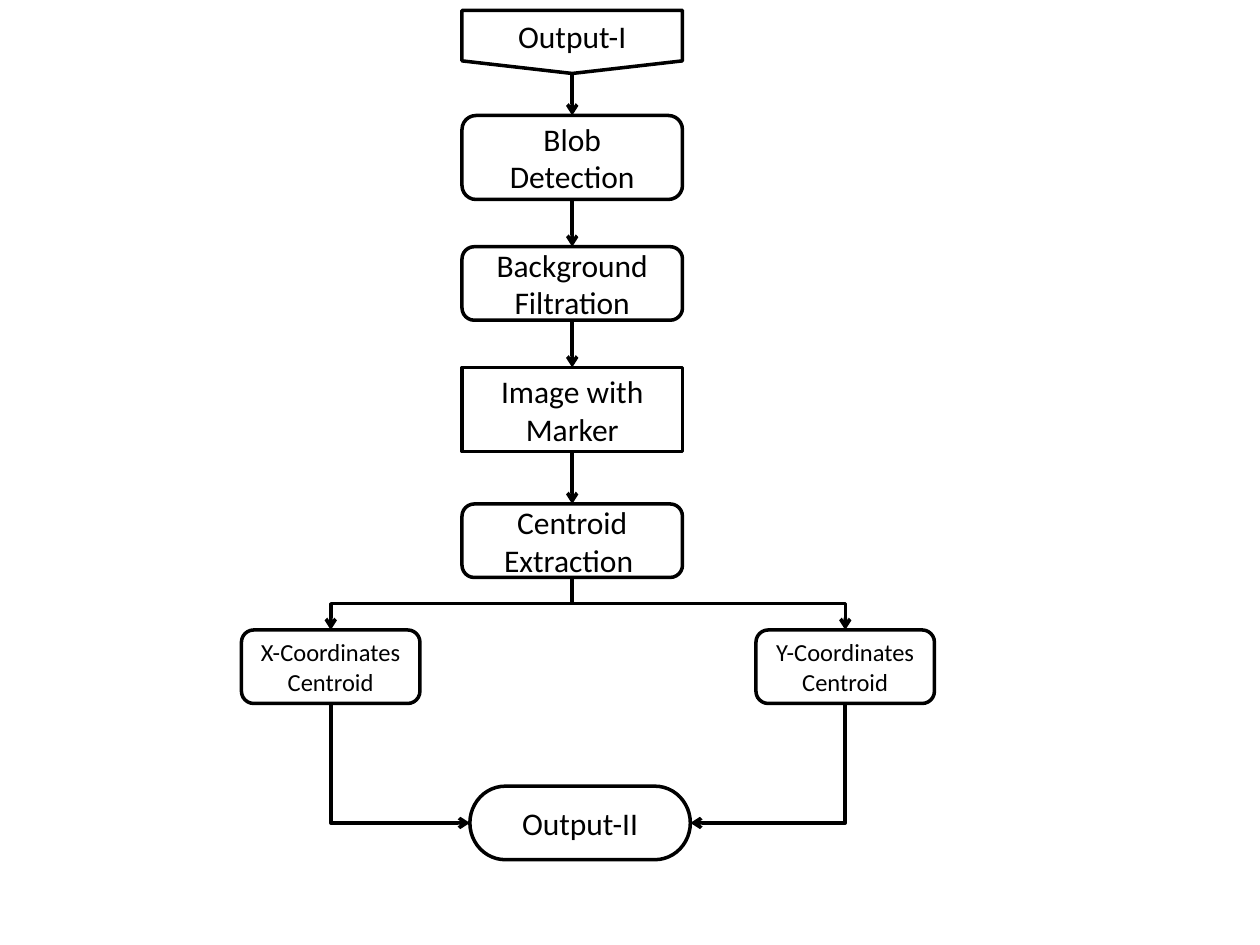
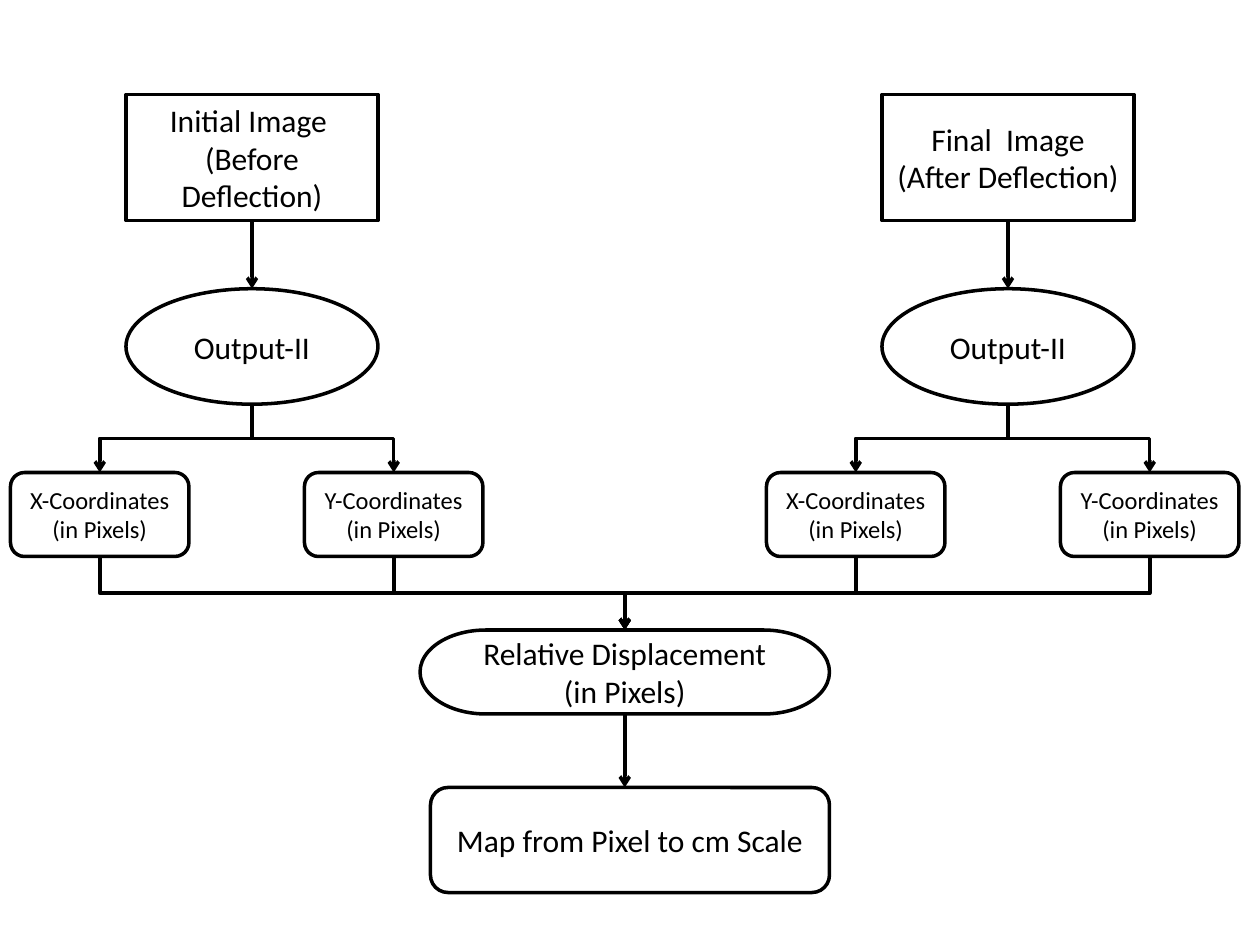
"""Build two flowchart slides on centroid extraction and displacement mapping."""
from dataclasses import dataclass
from itertools import pairwise

from lxml import etree
from pptx import Presentation
from pptx.dml.color import RGBColor
from pptx.enum.shapes import MSO_CONNECTOR, MSO_SHAPE
from pptx.enum.text import MSO_ANCHOR, PP_ALIGN
from pptx.oxml.ns import qn
from pptx.shapes.connector import Connector
from pptx.slide import Slide
from pptx.util import Emu, Pt

EMU_PER_PX = 9525
BLANK_LAYOUT = 6
FONT = "Calibri"
INK = "000000"
PAPER = "FFFFFF"
LINE_WIDTH = Pt(2)
STEP_SIZE = 18
COORDINATE_SIZE = 14

STRAIGHT = MSO_CONNECTOR.STRAIGHT
ELBOW = MSO_CONNECTOR.ELBOW
RECTANGLE = MSO_SHAPE.RECTANGLE
ROUNDED = MSO_SHAPE.ROUNDED_RECTANGLE
OVAL = MSO_SHAPE.OVAL
OFFPAGE = MSO_SHAPE.FLOWCHART_OFFPAGE_CONNECTOR
PROCESS = MSO_SHAPE.FLOWCHART_ALTERNATE_PROCESS
TERMINATOR = MSO_SHAPE.FLOWCHART_TERMINATOR
MIDDLE = MSO_ANCHOR.MIDDLE
CENTER = PP_ALIGN.CENTER


@dataclass(frozen=True)
class Step:
    """One box of a flowchart, measured in px."""

    text: str
    kind: MSO_SHAPE
    left: int
    top: int
    width: int
    height: int
    size: int = STEP_SIZE

    @property
    def center(self) -> int:
        return self.left + self.width // 2

    @property
    def middle(self) -> int:
        return self.top + self.height // 2

    @property
    def right(self) -> int:
        return self.left + self.width

    @property
    def bottom(self) -> int:
        return self.top + self.height


def px(length: float) -> Emu:
    """Turn px into EMU."""
    return Emu(round(length * EMU_PER_PX))


def color(value: str) -> RGBColor:
    """Turn a hex string into a colour."""
    return RGBColor.from_string(value)


def draw_step(slide: Slide, step: Step) -> None:
    """Draw one outlined box with centred text."""
    box = slide.shapes.add_shape(
        step.kind, px(step.left), px(step.top), px(step.width), px(step.height)
    )
    box.shadow.inherit = False
    box.fill.solid()
    box.fill.fore_color.rgb = color(PAPER)
    box.line.color.rgb = color(INK)
    box.line.width = LINE_WIDTH
    frame = box.text_frame
    frame.word_wrap = True
    frame.vertical_anchor = MIDDLE
    frame.text = step.text
    for paragraph in frame.paragraphs:
        paragraph.alignment = CENTER
        for run in paragraph.runs:
            run.font.name = FONT
            run.font.size = Pt(step.size)
            run.font.color.rgb = color(INK)


def draw_arrow(
    slide: Slide, kind: MSO_CONNECTOR, x1: float, y1: float, x2: float, y2: float
) -> Connector:
    """Draw a connector with an arrowhead at its end."""
    arrow = slide.shapes.add_connector(kind, px(x1), px(y1), px(x2), px(y2))
    arrow.line.color.rgb = color(INK)
    arrow.line.width = LINE_WIDTH
    properties = arrow.element.spPr
    etree.SubElement(properties.find(qn("a:ln")), qn("a:tailEnd"), type="arrow")
    etree.SubElement(properties, qn("a:effectLst"))
    return arrow


def draw_bent(
    slide: Slide, x1: int, y1: int, x2: int, y2: int, preset: str
) -> None:
    """Draw an elbow that leaves downwards, as a turned horizontal elbow."""
    center_x, center_y = (x1 + x2) / 2, (y1 + y2) / 2
    half_width, half_height = (y2 - y1) / 2, abs(x2 - x1) / 2
    side = 1 if x2 > x1 else -1
    bend = draw_arrow(
        slide,
        ELBOW,
        center_x + side * half_width,
        center_y - half_height,
        center_x - side * half_width,
        center_y + half_height,
    )
    properties = bend.element.spPr
    properties.find(qn("a:xfrm")).set("rot", str((270 if side > 0 else 90) * 60000))
    properties.find(qn("a:prstGeom")).set("prst", preset)


def link_down(slide: Slide, source: Step, target: Step) -> None:
    """Draw a straight arrow down to the next step."""
    draw_arrow(
        slide, STRAIGHT, source.center, source.bottom, source.center, target.top
    )


def link_branch(slide: Slide, source: Step, target: Step) -> None:
    """Draw a stepped arrow to the top of a step set to one side."""
    draw_bent(
        slide, source.center, source.bottom, target.center, target.top,
        "bentConnector3",
    )


def link_side(slide: Slide, source: Step, target: Step) -> None:
    """Draw an arrow down and into the near side of a step."""
    edge = target.left if source.center < target.center else target.right
    draw_bent(
        slide, source.center, source.bottom, edge, target.middle, "bentConnector2"
    )


def build_centroid_flow(slide: Slide) -> None:
    """Draw the flow from blob detection to the centroid coordinates."""
    stages = [
        Step(text, kind, 352, top, 168, height)
        for text, kind, top, height in (
            ("Output-I", OFFPAGE, 8, 48),
            ("Blob Detection", ROUNDED, 88, 64),
            ("Background Filtration", PROCESS, 188, 56),
            ("Image with Marker", RECTANGLE, 280, 64),
            ("Centroid Extraction ", ROUNDED, 384, 56),
        )
    ]
    centroids = [
        Step(f"{axis}-Coordinates Centroid", PROCESS, left, 480, 136, 56,
             COORDINATE_SIZE)
        for axis, left in (("X", 184), ("Y", 576))
    ]
    result = Step("Output-II", TERMINATOR, 358, 599, 168, 56)
    for step in (*stages, *centroids, result):
        draw_step(slide, step)
    for source, target in pairwise(stages):
        link_down(slide, source, target)
    for centroid in centroids:
        link_branch(slide, stages[-1], centroid)
        link_side(slide, centroid, result)


def build_displacement_flow(slide: Slide) -> None:
    """Draw the flow from both images to the displacement in cm."""
    displacement = Step(
        "Relative Displacement\n(in Pixels)", TERMINATOR, 320, 480, 312, 64
    )
    scale_map = Step("Map from Pixel to cm Scale", PROCESS, 328, 600, 304, 80)
    for step in (displacement, scale_map):
        draw_step(slide, step)
    link_down(slide, displacement, scale_map)
    for caption, left in (
        ("Initial Image  (Before Deflection)", 96),
        ("Final  Image (After Deflection)", 672),
    ):
        image = Step(caption, RECTANGLE, left, 72, 192, 96)
        output = Step("Output-II", OVAL, left, 220, 192, 88)
        draw_step(slide, image)
        draw_step(slide, output)
        link_down(slide, image, output)
        for axis, offset in (("X", -88), ("Y", 136)):
            coordinates = Step(
                f"{axis}-Coordinates\n(in Pixels)", ROUNDED, left + offset, 360,
                136, 64, COORDINATE_SIZE,
            )
            draw_step(slide, coordinates)
            link_branch(slide, output, coordinates)
            link_branch(slide, coordinates, displacement)


def main() -> None:
    """Build and save both slides."""
    deck = Presentation()
    deck.slide_width = px(960)
    deck.slide_height = px(720)
    for build in (build_centroid_flow, build_displacement_flow):
        build(deck.slides.add_slide(deck.slide_layouts[BLANK_LAYOUT]))
    deck.save("out.pptx")


if __name__ == "__main__":
    main()
